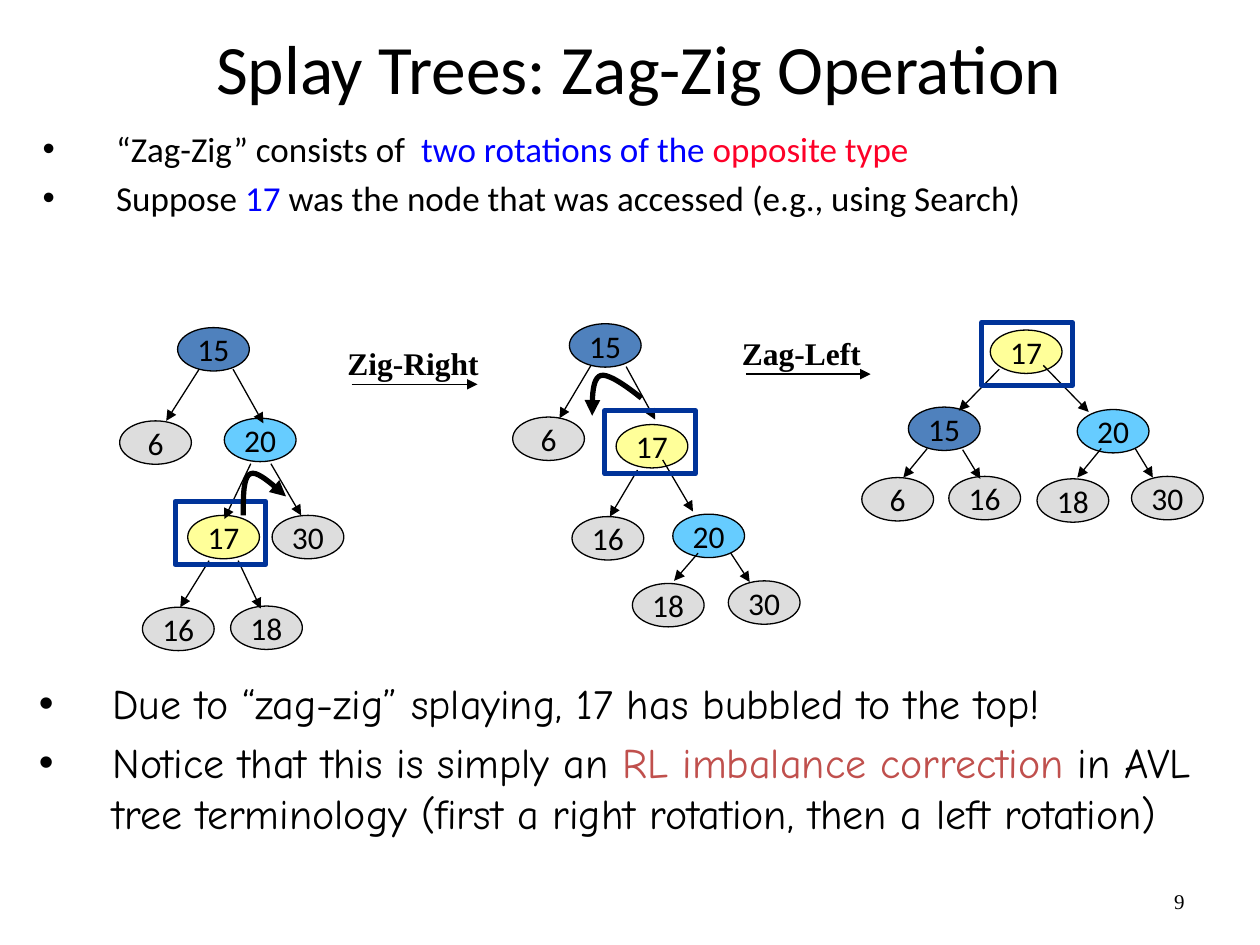
import pptx
import pptx.util
import pptx.dml.color
import pptx.enum.shapes
import pptx.enum.text
import pptx.oxml.ns
import lxml.etree

Pt = pptx.util.Pt
RGB = pptx.dml.color.RGBColor
SHAPE = pptx.enum.shapes.MSO_SHAPE
ALIGN = pptx.enum.text.PP_ALIGN
ANCHOR = pptx.enum.text.MSO_ANCHOR
qn = pptx.oxml.ns.qn

BLACK = RGB(0x00, 0x00, 0x00)
BLUE = RGB(0x00, 0x00, 0xFF)
RED = RGB(0xFD, 0x01, 0x28)
BRICK = RGB(0xC0, 0x50, 0x4D)
FRAME_BLUE = RGB(0x00, 0x33, 0x99)
GREY = RGB(0xDD, 0xDD, 0xDD)
KEY_FILLS = {15: RGB(0x4F, 0x81, 0xBD), 17: RGB(0xFF, 0xFF, 0x99), 20: RGB(0x66, 0xCC, 0xFF)}

NODE_SIZE = (41, 24.8)
FRAME_SIZE = (51.8, 36)
INDENT = 42

# Content: bullets are lists of (text, colour) runs
INTRO = [
    [("“Zag-Zig” consists of  ", BLACK), ("two rotations of the ", BLUE), ("opposite type", RED)],
    [("Suppose ", BLACK), ("17 ", BLUE),
     ("was the node that was accessed (e.g., using Search)", BLACK)],
]
CONCLUSION = [
    [("Due to “zag-zig” splaying, 17 has bubbled to the top!", BLACK)],
    [("Notice that this is simply an ", BLACK), ("RL imbalance correction", BRICK),
     (" in AVL tree terminology (first a right rotation, then a left rotation)", BLACK)],
]

# Trees: node corners by key, edges as (x1, y1, x2, y2), corner of the frame around 17
TREES = [
    {"nodes": {15: (101.5, 187.2), 6: (68.4, 240.5), 20: (128.2, 239), 30: (155.5, 294.5),
               17: (107.3, 294.5), 16: (81.4, 347), 18: (131.8, 346.3)},
     "edges": [(113.8, 211, 95, 240.5), (133.2, 211, 150.5, 241.9),
               (154.8, 265, 172.1, 294.5), (143.3, 265, 128.2, 296.6),
               (119.5, 320.4, 103, 347), (136.1, 320.4, 149, 347.8)],
     "frame": (100.1, 286.6)},
    {"nodes": {15: (325.4, 185), 6: (293, 238.3), 20: (384.5, 293.8), 30: (416.2, 331.9),
               17: (352.1, 242.6), 16: (326.9, 295.2), 18: (361.4, 333.4)},
     "edges": [(337.7, 208.8, 319.7, 239), (357.8, 209.5, 374.4, 239.8),
               (378.7, 262.8, 396, 292.3), (364.3, 268.6, 348.5, 295.2),
               (417.6, 316.1, 428.4, 332.6), (398.9, 316.1, 385.2, 331.9)],
     "frame": (345.6, 234.7)},
    {"nodes": {15: (519.1, 232.6), 6: (492.5, 272.9), 20: (615.6, 234), 30: (646.6, 272.2),
               17: (565.9, 188.6), 16: (542.2, 272.2), 18: (592.6, 273.6)},
     "edges": [(596.2, 208.8, 622.1, 235.4), (571, 211, 547.9, 234.7),
               (648.7, 256.3, 658.8, 272.9), (629.3, 256.3, 615.6, 272.9),
               (529.9, 256.3, 516.2, 272.9), (550.1, 257, 560.2, 273.6)],
     "frame": (560.9, 184.3)},
]

# Steps between trees: label, label box, arrow
STEPS = [
    ("Zig-Right", (191.5, 193, 89.3, 28.8), (200.9, 219.6, 272.9, 219.6)),
    ("Zag-Left", (416.9, 187.2, 82.8, 28.8), (426.2, 213.8, 497.5, 213.8)),
]

# Rotation arrows: two cubic curves each, sharing the middle point
ROTATIONS = [
    [(139, 294.5), (139, 283), (139, 272.2), (143.3, 270.7),
     (147.6, 268.6), (159.8, 280.8), (163.4, 283.7)],
    [(366.5, 227.5), (362.9, 224.6), (348.5, 213.1), (343.4, 214.6),
     (338.4, 216), (338.4, 226.8), (338.4, 237.6)],
]


def add_text(slide, box, paragraphs, font, size, align=None, anchor=ANCHOR.TOP,
             bold=False, bullets=False, wrap=True):
    frame = slide.shapes.add_textbox(*map(Pt, box)).text_frame
    frame.word_wrap = wrap
    frame.vertical_anchor = anchor
    for index, runs in enumerate(paragraphs):
        paragraph = frame.add_paragraph() if index else frame.paragraphs[0]
        paragraph.alignment = align
        paragraph.font.name, paragraph.font.size, paragraph.font.bold = font, Pt(size), bold
        for text, color in runs:
            run = paragraph.add_run()
            run.text = text
            run.font.color.rgb = color
        if bullets:
            paragraph.space_before = Pt(size * 0.2)
            properties = paragraph._p.get_or_add_pPr()
            properties.set("marL", str(Pt(INDENT)))
            properties.set("indent", str(-Pt(INDENT)))
            bullet_font = lxml.etree.Element(qn("a:buFont"), typeface="Arial")
            bullet = lxml.etree.Element(qn("a:buChar"), char="•")
            for offset, element in enumerate((bullet_font, bullet)):
                properties.insert(1 + offset, element)


def style_arrow(shape, width):
    shape.line.color.rgb = BLACK if width < 3 else BLACK
    shape.line.width = Pt(width)
    lxml.etree.SubElement(shape.line._get_or_add_ln(), qn("a:tailEnd"), type="triangle")


def add_arrow(slide, ends):
    arrow = slide.shapes.add_connector(
        pptx.enum.shapes.MSO_CONNECTOR.STRAIGHT, *map(Pt, ends))
    style_arrow(arrow, 0.75)
    lxml.etree.SubElement(arrow._element.spPr, qn("a:effectLst"))


def add_node(slide, key, corner):
    node = slide.shapes.add_shape(SHAPE.OVAL, *map(Pt, corner + NODE_SIZE))
    node.shadow.inherit = False
    node.fill.solid()
    node.fill.fore_color.rgb = KEY_FILLS.get(key, GREY)
    node.line.color.rgb = BLACK
    node.line.width = Pt(0.75)
    node.text_frame.word_wrap = False
    node.text_frame.vertical_anchor = ANCHOR.MIDDLE
    paragraph = node.text_frame.paragraphs[0]
    paragraph.text = str(key)
    paragraph.alignment = ALIGN.CENTER
    paragraph.font.name, paragraph.font.size = "Calibri", Pt(18)
    paragraph.font.color.rgb = BLACK


def add_frame(slide, corner):
    frame = slide.shapes.add_shape(SHAPE.RECTANGLE, *map(Pt, corner + FRAME_SIZE))
    frame.shadow.inherit = False
    frame.fill.background()
    frame.line.color.rgb = FRAME_BLUE
    frame.line.width = Pt(3)


def curve_points(controls, steps=12):
    points = []
    for start in (0, 3):
        corners = controls[start:start + 4]
        for step in range(1, steps + 1):
            t = step / steps
            weights = ((1 - t) ** 3, 3 * t * (1 - t) ** 2, 3 * t * t * (1 - t), t ** 3)
            points.append(tuple(Pt(sum(w * value for w, value in zip(weights, axis)))
                                for axis in zip(*corners)))
    return points


def add_rotation(slide, controls):
    builder = slide.shapes.build_freeform(*map(Pt, controls[0]))
    builder.add_line_segments(curve_points(controls), close=False)
    curve = builder.convert_to_shape()
    curve.shadow.inherit = False
    curve.fill.background()
    style_arrow(curve, 3)


def main():
    presentation = pptx.Presentation()
    presentation.slide_width, presentation.slide_height = Pt(720), Pt(540)
    slide = presentation.slides.add_slide(presentation.slide_layouts[6])

    # Title, bullets and page number
    add_text(slide, (21.6, 10.8, 686.9, 54.7), [[("Splay Trees: Zag-Zig Operation", BLACK)]],
             "Calibri", 39.6, ALIGN.CENTER, ANCHOR.MIDDLE)
    add_text(slide, (17.3, 69.1, 674.6, 85.7), INTRO, "Calibri", 20, bullets=True)
    add_text(slide, (15.1, 383.8, 680.4, 109.4), CONCLUSION, "Comic Neue", 24, bullets=True)
    add_text(slide, (516.2, 500.4, 167.8, 28.8), [[("9", BLACK)]],
             "Times New Roman", 12, ALIGN.RIGHT, ANCHOR.MIDDLE)

    # Trees
    for tree in TREES:
        for key, corner in tree["nodes"].items():
            add_node(slide, key, corner)
        for ends in tree["edges"]:
            add_arrow(slide, ends)
        add_frame(slide, tree["frame"])

    # Steps and rotations
    for label, box, ends in STEPS:
        add_arrow(slide, ends)
        add_text(slide, box, [[(label, BLACK)]], "Times New Roman", 18, bold=True, wrap=False)
    for controls in ROTATIONS:
        add_rotation(slide, controls)

    presentation.save("out.pptx")


if __name__ == "__main__":
    main()
